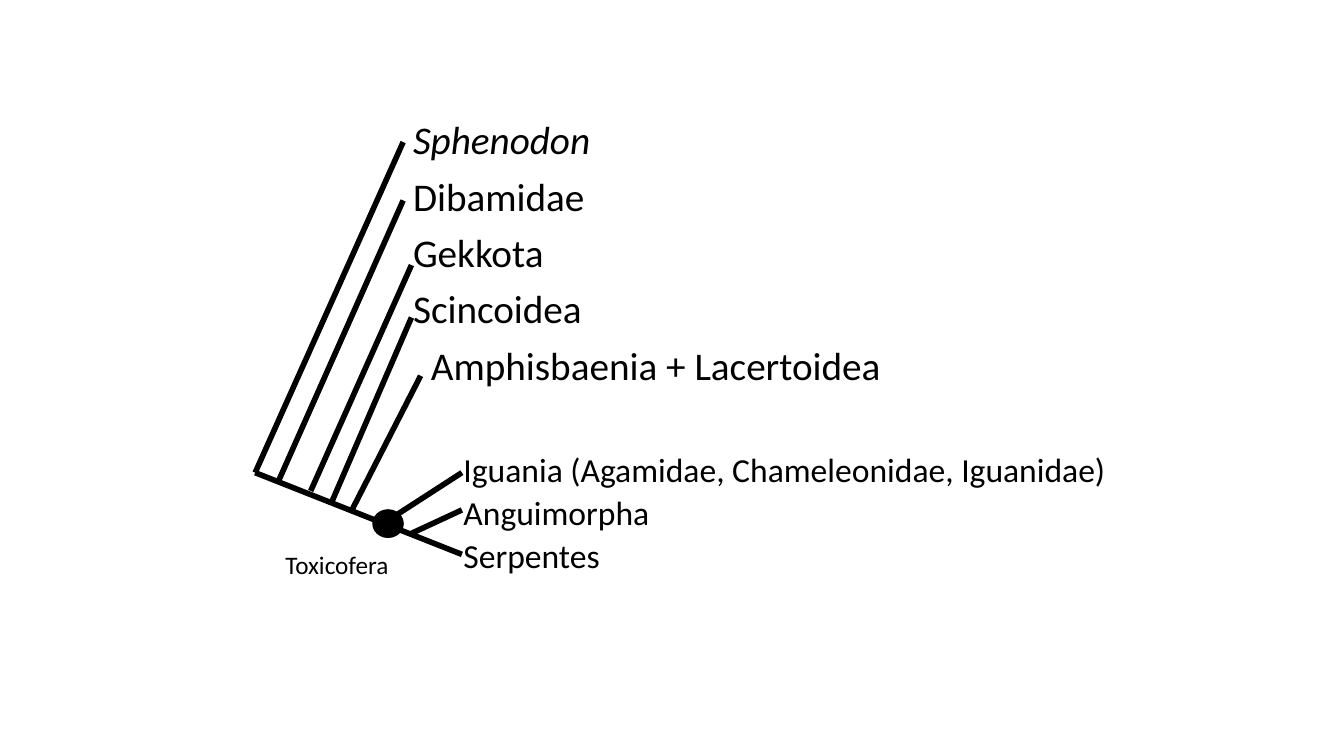
from pptx import Presentation
from pptx import util as u
from pptx.dml.color import RGBColor
from pptx.enum import shapes, text
from pptx.oxml.ns import qn
from lxml import etree

BLACK = "000000"
TAXA = [
    ("Sphenodon", dict(italic=True), 0, 0),
    ("Dibamidae", {}, 0, 10),
    ("Gekkota", {}, 0, 10),
    ("Scincoidea", {}, 0, 10),
    ("Amphisbaenia + Lacertoidea", {}, 0.45, 10),
    ("Iguania (Agamidae, Chameleonidae, Iguanidae)", dict(size=u.Pt(24)), 1.27, 46),
    ("Anguimorpha", dict(size=u.Pt(24)), 1.27, 5),
    ("Serpentes", dict(size=u.Pt(24)), 1.27, 5),
]
BRANCHES = [
    (5.21, 10.39, 0, 8.33),
    (3.94, 9.86, 5.21, 9.27),
    (3.2, 9.63, 5.21, 8.33),
    (2.44, 9.27, 4.17, 5.89),
    (1.93, 9.07, 3.94, 4.42),
    (1.4, 8.79, 3.94, 3.1),
    (0.58, 8.56, 3.73, 1.47),
    (0, 8.33, 3.73, 0),
]


def color(value):
    """Turn a hex string into a colour."""
    return RGBColor.from_string(value)


def put(p, words, **formats):
    """Write a run into a paragraph with the given font values."""
    r = p.add_run()
    r.text = words
    for name, value in {"name": "Calibri", "size": u.Pt(28), **formats}.items():
        setattr(r.font, name, value)
    r.font.color.rgb = color(BLACK)


def text_frame(s, x, y, w, h, wrap):
    """Add a text box and return its frame."""
    tf = s.shapes.add_textbox(u.Cm(x), u.Cm(y), u.Cm(w), u.Cm(h)).text_frame
    tf.word_wrap = wrap
    return tf


def taxon_list(s, x, y, w, h):
    """Place the names of the taxa in one box."""
    tf = text_frame(s, x, y, w, h, True)
    for i, (words, formats, indent, before) in enumerate(TAXA):
        p = tf.add_paragraph() if i else tf.paragraphs[0]
        p.line_spacing = 0.9
        p.space_before = u.Pt(before)
        p._p.get_or_add_pPr().set("marL", str(u.Cm(indent)))
        put(p, words, **formats)


def tree(s, x, y):
    """Draw the branches, the Toxicofera node and its label."""
    for x1, y1, x2, y2 in BRANCHES:
        ln = s.shapes.add_connector(
            shapes.MSO_CONNECTOR.STRAIGHT,
            u.Cm(x + x1), u.Cm(y + y1), u.Cm(x + x2), u.Cm(y + y2))
        ln.line.color.rgb = color(BLACK)
        ln.line.width = u.Pt(4)
        etree.SubElement(ln._element.spPr, qn("a:effectLst"))
    node = s.shapes.add_shape(
        shapes.MSO_SHAPE.OVAL, u.Cm(x + 2.97), u.Cm(y + 9.27), u.Cm(0.76), u.Cm(0.69))
    node.shadow.inherit = False
    node.fill.solid()
    node.fill.fore_color.rgb = color(BLACK)
    node.line.color.rgb = color(BLACK)
    node.line.width = u.Pt(1)
    tf = text_frame(s, x + 0.51, y + 10.13, 4.22, 1.02, True)
    tf.auto_size = text.MSO_AUTO_SIZE.SHAPE_TO_FIT_TEXT
    put(tf.paragraphs[0], "Toxicofera", size=u.Pt(18))


def main():
    """Build the slide and save it."""
    prs = Presentation()
    prs.slide_width, prs.slide_height = u.Cm(33.87), u.Cm(19.05)
    s = prs.slides.add_slide(prs.slide_layouts[6])
    taxon_list(s, 10.16, 2.92, 23.6, 12.09)
    tree(s, 6.43, 3.58)
    prs.save("out.pptx")


if __name__ == "__main__":
    main()
